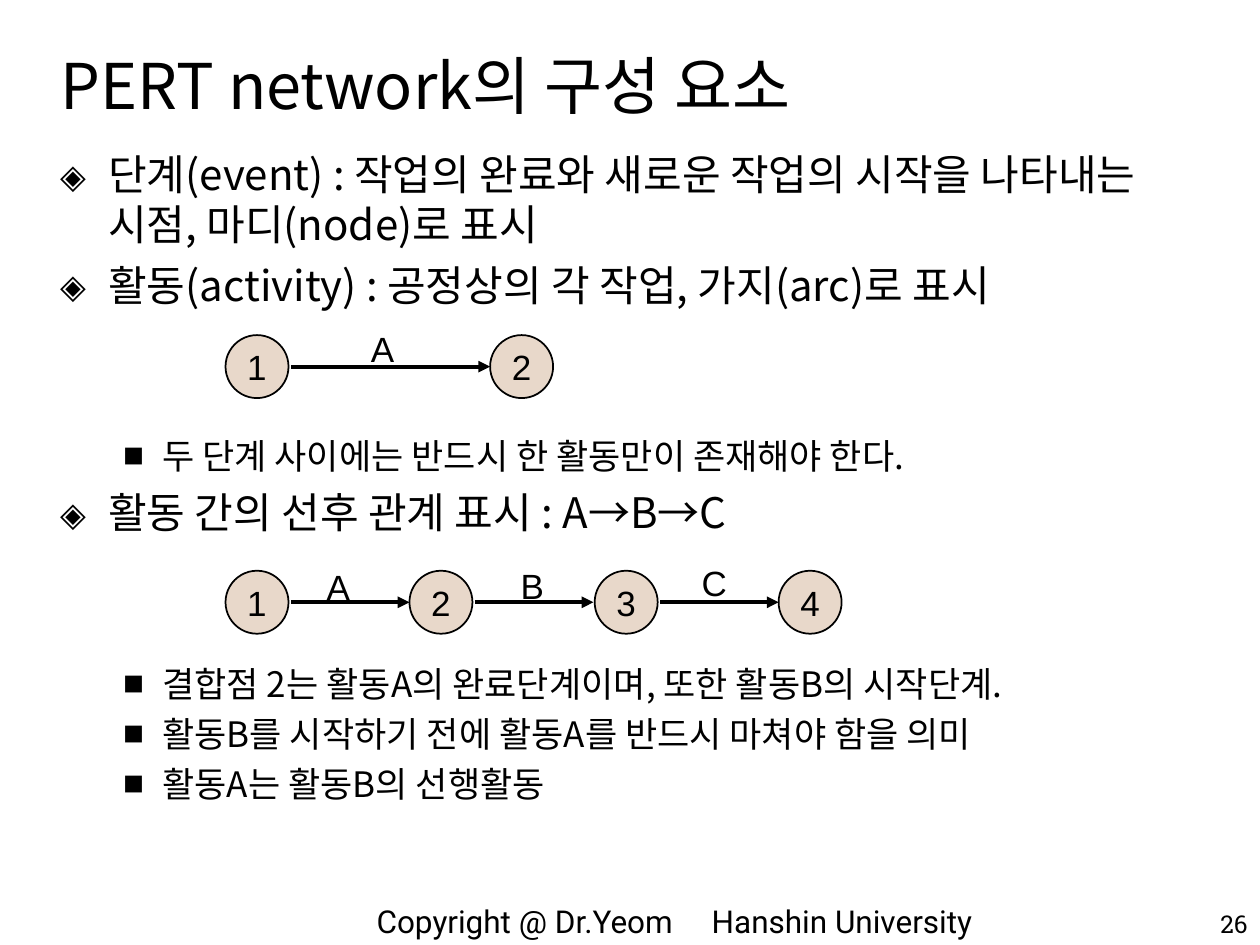
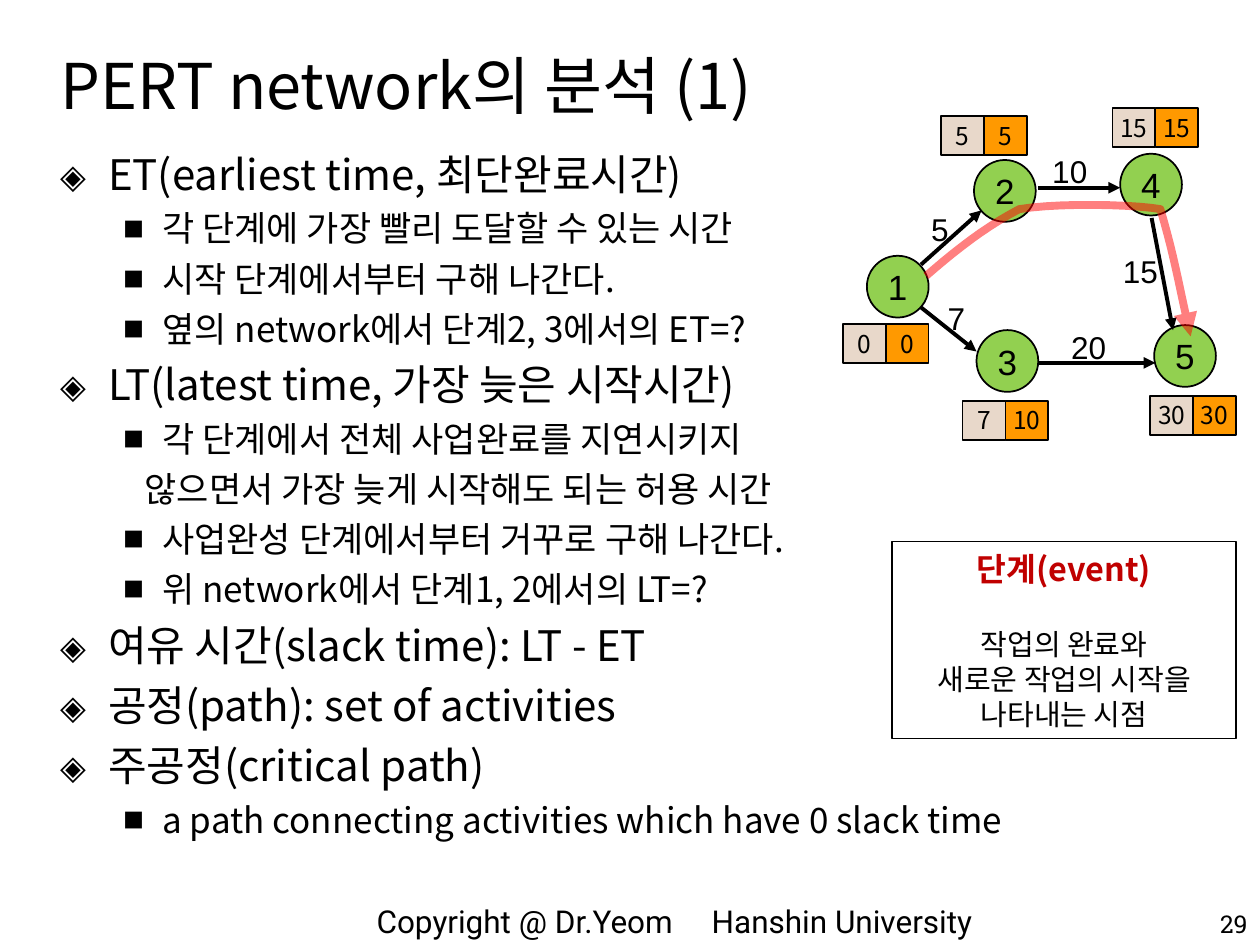
from dataclasses import dataclass
from typing import NamedTuple

from lxml import etree
from pptx import Presentation
from pptx import util as u
from pptx.dml.color import RGBColor
from pptx.enum import shapes, text
from pptx.oxml import ns

PX = 9144  # EMU per px, 100 px to the inch
BLACK = RGBColor(0x00, 0x00, 0x00)
BEIGE = RGBColor(0xE8, 0xD8, 0xCA)
GREEN = RGBColor(0x92, 0xD0, 0x50)
ORANGE = RGBColor(0xFF, 0x99, 0x00)
DARK_RED = RGBColor(0xC0, 0x00, 0x00)
RED = RGBColor(0xFF, 0x00, 0x00)
KOREAN, LATIN, FOOTER, NUMBER = "Noto Sans CJK KR", "Arial", "Roboto", "Roboto Slab"
LEFT, CENTER, RIGHT = text.PP_ALIGN.LEFT, text.PP_ALIGN.CENTER, text.PP_ALIGN.RIGHT
TOP, MIDDLE, BOTTOM = (text.MSO_ANCHOR.TOP, text.MSO_ANCHOR.MIDDLE,
                       text.MSO_ANCHOR.BOTTOM)
FIGURE_GAP = 67  # points left in the body for a diagram


class Box(NamedTuple):
    left: int
    top: int
    width: int
    height: int

    def emu(self) -> list[int]:
        return [side * PX for side in self]


class Level(NamedTuple):
    size: int
    margin: int
    hang: int
    before: float
    bullet: str = ""
    bullet_percent: int = 0


TOPIC = Level(24, 38, 38, 5.6, "◈", 80)
DETAIL = Level(20, 81, 31, 4.6, "■", 60)
CONTINUED = Level(20, 67, 0, 4.6)


@dataclass
class Point:
    words: str
    level: Level = DETAIL
    gap: float = 0


@dataclass
class Node:
    name: str
    left: int
    top: int


@dataclass
class Arrow:
    x1: int
    y1: int
    x2: int
    y2: int


@dataclass
class Label:
    words: str
    box: Box


@dataclass
class Times:
    earliest: str
    latest: str
    left: int
    top: int


def child(parent, tag: str, **attributes):
    return etree.SubElement(parent, ns.qn(tag), attributes)


def write(frame, words: str, *, size: float, font: str = KOREAN, color: RGBColor = BLACK,
          bold: bool = False, align=LEFT, before: float = 0, level: Level | None = None,
          tab: int = 0) -> None:
    """Put one paragraph into the frame, after any text that is already there."""
    paragraph = frame.add_paragraph() if frame.text else frame.paragraphs[0]
    paragraph.alignment = align
    if before:
        paragraph.space_before = u.Pt(before)
    properties = paragraph._p.get_or_add_pPr()
    if level:
        properties.set("marL", str(level.margin * PX))
        properties.set("indent", str(-level.hang * PX))
        if level.bullet:
            child(properties, "a:buSzPct", val=str(level.bullet_percent * 1000))
            child(properties, "a:buFont", typeface=KOREAN)
            child(properties, "a:buChar", char=level.bullet)
    if tab:
        child(child(properties, "a:tabLst"), "a:tab", pos=str(tab * PX), algn="l")
    run = paragraph.add_run()
    run.text = words
    run.font.size, run.font.name, run.font.bold = u.Pt(size), font, bold
    run.font.color.rgb = color
    child(run._r.get_or_add_rPr(), "a:ea", typeface=font)


def text_frame(shape, anchor=MIDDLE, wrap: bool = False):
    frame = shape.text_frame
    frame.word_wrap, frame.vertical_anchor = wrap, anchor
    frame.auto_size = text.MSO_AUTO_SIZE.NONE
    return frame


def text_box(slide, box: Box, anchor=MIDDLE, wrap: bool = False):
    return text_frame(slide.shapes.add_textbox(*box.emu()), anchor, wrap)


def outlined(slide, kind, box: Box, fill: RGBColor | None = None, width: float = 1):
    shape = slide.shapes.add_shape(kind, *box.emu())
    shape.shadow.inherit = False
    if fill is None:
        shape.fill.background()
    else:
        shape.fill.solid()
        shape.fill.fore_color.rgb = fill
    shape.line.color.rgb, shape.line.width = BLACK, u.Pt(width)
    return text_frame(shape)


def add_arrowhead(line) -> None:
    child(line._get_or_add_ln(), "a:tailEnd", type="triangle")


def draw_arrow(slide, arrow: Arrow) -> None:
    ends = (end * PX for end in (arrow.x1, arrow.y1, arrow.x2, arrow.y2))
    connector = slide.shapes.add_connector(shapes.MSO_CONNECTOR.STRAIGHT, *ends)
    connector.line.color.rgb, connector.line.width = BLACK, u.Pt(2.25)
    add_arrowhead(connector.line)
    child(connector._element.spPr, "a:effectLst")


def draw_network(slide, nodes: list[Node], arrows: list[Arrow], labels: list[Label], *,
                 diameter: int, fill: RGBColor, label_size: int, anchor) -> None:
    for node in nodes:
        box = Box(node.left, node.top, diameter, diameter)
        circle = outlined(slide, shapes.MSO_SHAPE.OVAL, box, fill)
        write(circle, node.name, size=20, font=LATIN, align=CENTER)
    for arrow in arrows:
        draw_arrow(slide, arrow)
    for label in labels:
        write(text_box(slide, label.box, anchor), label.words,
              size=label_size, font=LATIN, align=CENTER)


def draw_times(slide, times: Times) -> None:
    cells = ((times.earliest, BEIGE), (times.latest, ORANGE))
    for column, (value, fill) in enumerate(cells):
        box = Box(times.left + 34 * column, times.top, 34, 31)
        cell = outlined(slide, shapes.MSO_SHAPE.RECTANGLE, box, fill)
        write(cell, value, size=14, align=CENTER)


def draw_critical_path(slide, start: tuple, curves: list[tuple], steps: int = 10) -> None:
    """Trace cubic curves, each given as two controls and an end."""
    points, origin = [], start
    for first, second, end in curves:
        for t in (step / steps for step in range(1, steps + 1)):
            points.append(tuple(
                (1 - t) ** 3 * a + 3 * (1 - t) ** 2 * t * b + 3 * (1 - t) * t ** 2 * c + t ** 3 * d
                for a, b, c, d in zip(origin, first, second, end)))
        origin = end
    # Finer units than px keep the curve smooth.
    builder = slide.shapes.build_freeform(start[0] * 100, start[1] * 100, scale=PX / 100)
    builder.add_line_segments([(round(x * 100), round(y * 100)) for x, y in points], close=False)
    trace = builder.convert_to_shape()
    trace.shadow.inherit = False
    trace.fill.background()
    trace.line.color.rgb, trace.line.width = RED, u.Pt(4.5)
    color = trace.line._get_or_add_ln().find(".//" + ns.qn("a:srgbClr"))
    child(color, "a:alpha", val="50000")
    add_arrowhead(trace.line)


def add_page(deck, title: str, number: str, points: list[Point]):
    """Add a slide with its title, bulleted body, footer and number."""
    slide = deck.slides.add_slide(deck.slide_layouts[5])
    heading = slide.shapes.title
    heading.left, heading.top, heading.width, heading.height = Box(38, 29, 934, 73).emu()
    write(text_frame(heading, BOTTOM, True), title, size=36)
    body = text_box(slide, Box(38, 113, 937, 596), TOP, True)
    for index, point in enumerate(points):
        before = point.level.before + point.gap if index else 0
        write(body, point.words, size=point.level.size, before=before, level=point.level)
    write(text_box(slide, Box(289, 711, 492, 39)), "Copyright @ Dr.Yeom\tHanshin University",
          size=18, font=FOOTER, tab=266)
    write(text_box(slide, Box(883, 717, 117, 33), BOTTOM, True), number,
          size=14, font=NUMBER, align=RIGHT)
    return slide


def build_components(deck) -> None:
    slide = add_page(deck, "PERT network의 구성 요소", "26", [
        Point("단계(event) : 작업의 완료와 새로운 작업의 시작을 나타내는 시점, 마디(node)로 표시", TOPIC),
        Point("활동(activity) : 공정상의 각 작업, 가지(arc)로 표시", TOPIC),
        Point("두 단계 사이에는 반드시 한 활동만이 존재해야 한다.", gap=FIGURE_GAP),
        Point("활동 간의 선후 관계 표시 : A→B→C", TOPIC),
        Point("결합점 2는 활동A의 완료단계이며, 또한 활동B의 시작단계.", gap=FIGURE_GAP),
        Point("활동B를 시작하기 전에 활동A를 반드시 마쳐야 함을 의미"),
        Point("활동A는 활동B의 선행활동"),
    ])
    style = dict(diameter=50, fill=BEIGE, label_size=20, anchor=TOP)
    draw_network(slide, [Node("1", 179, 266), Node("2", 389, 266)],
                 [Arrow(231, 291, 389, 291)], [Label("A", Box(284, 255, 39, 43))], **style)
    lefts = [179, 325, 472, 618]
    draw_network(
        slide,
        [Node(str(index), left, 453) for index, left in enumerate(lefts, 1)],
        [Arrow(left + 52, 478, left + 146, 478) for left in lefts[:-1]],
        [Label("A", Box(249, 444, 39, 43)), Label("B", Box(403, 443, 39, 43)),
         Label("C", Box(547, 441, 40, 43))],
        **style)


def build_analysis(deck) -> None:
    slide = add_page(deck, "PERT network의 분석 (1)", "29", [
        Point("ET(earliest time, 최단완료시간)", TOPIC),
        Point("각 단계에 가장 빨리 도달할 수 있는 시간"),
        Point("시작 단계에서부터 구해 나간다."),
        Point("옆의 network에서 단계2, 3에서의 ET=?"),
        Point("LT(latest time, 가장 늦은 시작시간)", TOPIC),
        Point("각 단계에서 전체 사업완료를 지연시키지"),
        Point("않으면서 가장 늦게 시작해도 되는 허용 시간", CONTINUED),
        Point("사업완성 단계에서부터 거꾸로 구해 나간다."),
        Point("위 network에서 단계1, 2에서의 LT=?"),
        Point("여유 시간(slack time): LT - ET", TOPIC),
        Point("공정(path): set of activities", TOPIC),
        Point("주공정(critical path)", TOPIC),
        Point("a path connecting activities which have 0 slack time"),
    ])
    draw_network(
        slide,
        [Node("1", 688, 203), Node("2", 773, 127), Node("3", 775, 262),
         Node("4", 889, 122), Node("5", 916, 258)],
        [Arrow(731, 210, 779, 167), Arrow(731, 244, 775, 279), Arrow(824, 149, 889, 149),
         Arrow(824, 288, 917, 288), Arrow(914, 173, 931, 262)],
        [Label("5", Box(729, 162, 34, 40)), Label("7", Box(742, 232, 34, 40)),
         Label("10", Box(825, 116, 48, 40)), Label("20", Box(840, 255, 48, 40)),
         Label("15", Box(881, 195, 48, 40))],
        diameter=49, fill=GREEN, label_size=18, anchor=MIDDLE)
    for times in (Times("0", "0", 669, 257), Times("5", "5", 747, 92),
                  Times("7", "10", 764, 318), Times("15", "15", 883, 86),
                  Times("30", "30", 913, 314)):
        draw_times(slide, times)
    definition = outlined(slide, shapes.MSO_SHAPE.RECTANGLE, Box(708, 430, 273, 156), width=0.75)
    write(definition, "단계(event)", size=18.5, color=DARK_RED, bold=True, align=CENTER)
    for words, before in (("작업의 완료와", 22), ("새로운 작업의 시작을", 0), ("나타내는 시점", 0)):
        write(definition, words, size=16.6, align=CENTER, before=before)
    draw_critical_path(slide, (735, 219), [
        ((758, 199), (782, 180), (809, 166)),
        ((838, 161), (899, 162), (921, 166)),
        ((932, 203), (935, 223), (945, 267)),
    ])


def main() -> None:
    deck = Presentation()
    deck.slide_width, deck.slide_height = 1000 * PX, 750 * PX
    build_components(deck)
    build_analysis(deck)
    deck.save("out.pptx")


if __name__ == "__main__":
    main()
